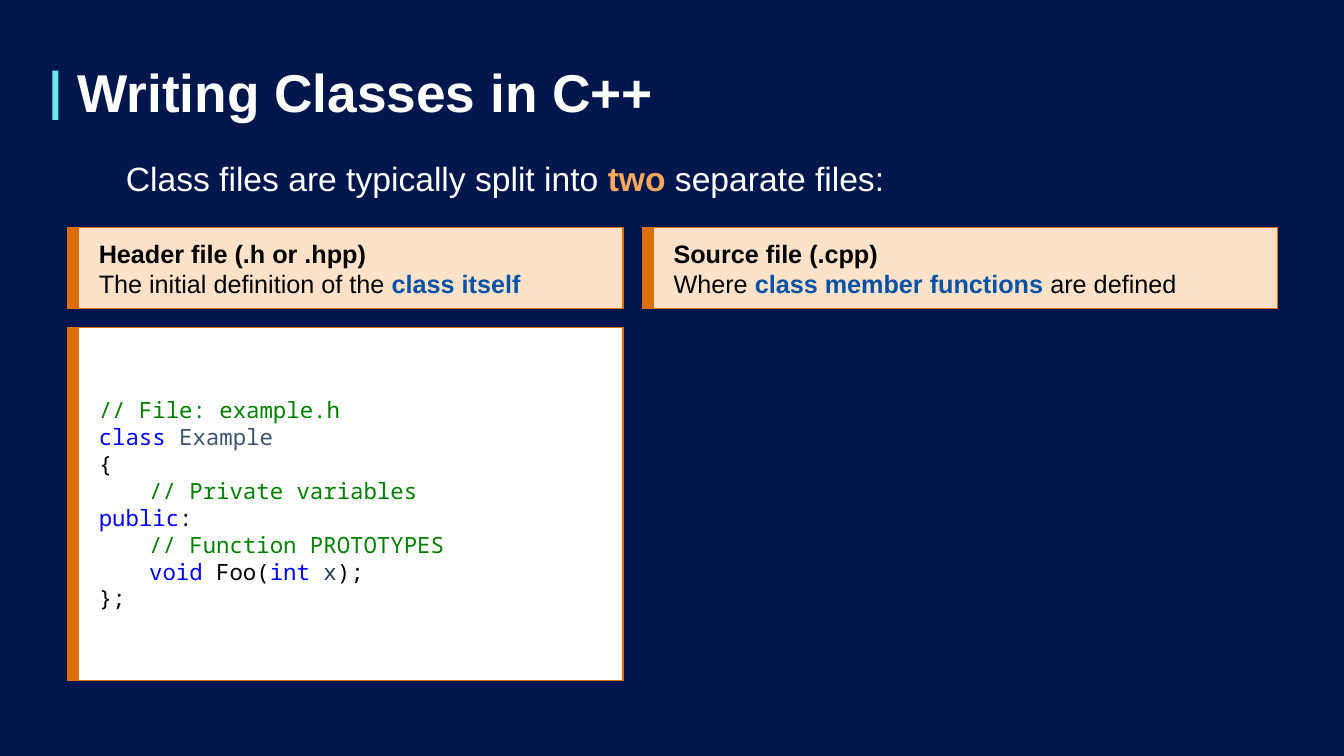
from pptx import Presentation
from pptx.dml.color import RGBColor
from pptx.enum.shapes import MSO_SHAPE
from pptx.enum.text import MSO_ANCHOR, PP_ALIGN
from pptx.oxml import parse_xml
from pptx.oxml.ns import nsdecls
from pptx.util import Inches, Pt

NAVY = RGBColor(0x00, 0x17, 0x4E)
CYAN = RGBColor(0x69, 0xEE, 0xF0)
WHITE = RGBColor(0xFF, 0xFF, 0xFF)
BLACK = RGBColor(0x00, 0x00, 0x00)
PEACH = RGBColor(0xFD, 0xE2, 0xC9)
ORANGE = RGBColor(0xDD, 0x6F, 0x08)
APRICOT = RGBColor(0xF9, 0xA8, 0x5C)
BLUE = RGBColor(0x04, 0x51, 0xA5)
COMMENT = RGBColor(0x00, 0x80, 0x00)
KEYWORD = RGBColor(0x00, 0x00, 0xFF)
CLASS_NAME = RGBColor(0x3C, 0x55, 0x6C)
PARAMETER = RGBColor(0x2D, 0x40, 0x51)

TITLE = {"name": "Arial", "size": Pt(38), "bold": True}
LEAD = {"name": "Arial", "size": Pt(24), "bold": False}
LABEL = {"name": "Arial", "size": Pt(18), "bold": False}
CODE = {"name": "Noto Sans Mono", "size": Pt(16), "bold": False}

BAR_WIDTH = 0.11
TAB_STOP = 0.5

# Each line is a list of (text, colour) or (text, colour, bold) spans
HEADER_LABEL = [
    [("Header file (.h or .hpp)", BLACK, True)],
    [("The initial definition of the ", BLACK), ("class itself", BLUE, True)],
]
SOURCE_LABEL = [
    [("Source file (.cpp)", BLACK, True)],
    [("Where ", BLACK), ("class member functions ", BLUE, True),
     ("are defined", BLACK)],
]
HEADER_CODE = [
    [("// File: example.h", COMMENT)],
    [("class ", KEYWORD), ("Example", CLASS_NAME)],
    [("{", BLACK)],
    [("\t// Private variables", COMMENT)],
    [("public", KEYWORD), (":", BLACK)],
    [("\t// Function PROTOTYPES", COMMENT)],
    [("\t", BLACK), ("void", KEYWORD), (" Foo(", BLACK), ("int ", KEYWORD),
     ("x", PARAMETER), (");", BLACK)],
    [("};", BLACK)],
]


def write_lines(frame, lines, style, spacing=1.0):
    frame.word_wrap = True
    frame.vertical_anchor = MSO_ANCHOR.MIDDLE
    for index, line in enumerate(lines):
        para = frame.paragraphs[0] if index == 0 else frame.add_paragraph()
        para.alignment = PP_ALIGN.LEFT
        para.line_spacing = spacing
        if line[0][0].startswith("\t"):
            para._p.get_or_add_pPr().append(parse_xml(
                f'<a:tabLst {nsdecls("a")}>'
                f'<a:tab pos="{Inches(TAB_STOP)}" algn="l"/></a:tabLst>'))
        for text, color, *bold in line:
            span = para.add_run()
            span.text = text
            for key, value in style.items():
                setattr(span.font, key, value)
            if bold:
                span.font.bold = bold[0]
            span.font.color.rgb = color


def add_block(page, left, top, width, height, fill, line=None):
    block = page.shapes.add_shape(
        MSO_SHAPE.RECTANGLE, Inches(left), Inches(top), Inches(width), Inches(height))
    block.shadow.inherit = False
    block.fill.solid()
    block.fill.fore_color.rgb = fill
    if line is None:
        block.line.fill.background()
    else:
        block.line.color.rgb = line
        block.line.width = Pt(1)
    return block


def add_text(page, left, top, width, height, lines, style, spacing=1.0):
    box = page.shapes.add_textbox(
        Inches(left), Inches(top), Inches(width), Inches(height))
    write_lines(box.text_frame, lines, style, spacing)


def add_heading(page, left, top, width, height):
    """Cyan marker, title and lead sentence."""
    add_block(page, left, top + 0.09, 0.06, 0.49, CYAN)
    add_text(page, left + 0.15, top, width - 0.15, height,
             [[("Writing Classes in C++", WHITE)]], TITLE, 0.9)
    add_text(page, left + 0.63, top + 0.91, width - 0.63, 0.5,
             [[("Class files are typically split into ", WHITE),
               ("two", APRICOT, True), (" separate files:", WHITE)]], LEAD)


def add_panel(page, left, top, width, height, fill, lines, style):
    """Outlined text panel with an orange bar along its left side."""
    panel = add_block(page, left + BAR_WIDTH, top, width - BAR_WIDTH, height,
                      fill, ORANGE)
    frame = panel.text_frame
    for side in ("left", "top", "right", "bottom"):
        setattr(frame, f"margin_{side}", Inches(0.2))
    write_lines(frame, lines, style)
    add_block(page, left, top, BAR_WIDTH, height, ORANGE, ORANGE)


def main():
    deck = Presentation()
    deck.slide_width, deck.slide_height = Inches(13.33), Inches(7.5)
    page = deck.slides.add_slide(deck.slide_layouts[6])
    page.background.fill.solid()
    page.background.fill.fore_color.rgb = NAVY

    add_heading(page, 0.52, 0.61, 12.05, 0.68)
    add_panel(page, 0.67, 2.26, 5.51, 0.8, PEACH, HEADER_LABEL, LABEL)
    add_panel(page, 6.37, 2.26, 6.3, 0.8, PEACH, SOURCE_LABEL, LABEL)
    add_panel(page, 0.67, 3.25, 5.51, 3.5, WHITE, HEADER_CODE, CODE)
    deck.save("out.pptx")


if __name__ == "__main__":
    main()
